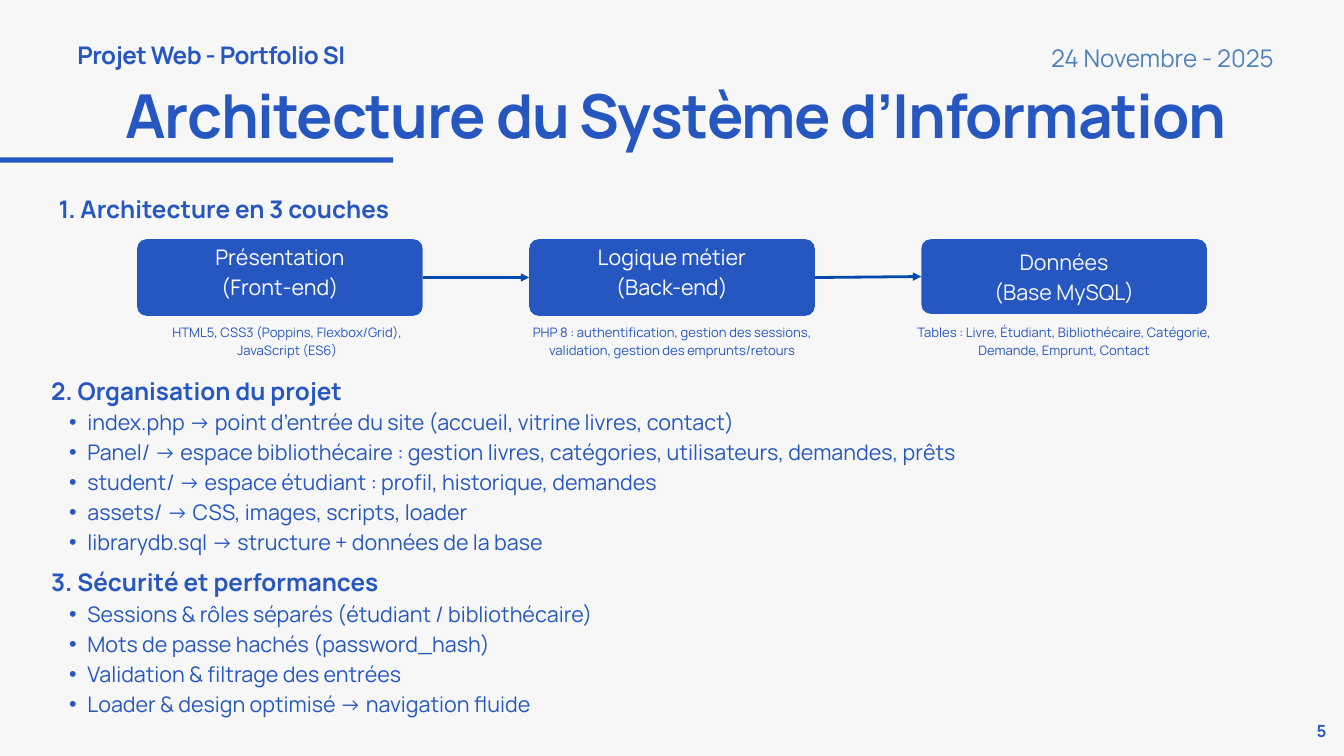
"""Build the slide describing the three-layer architecture of the library web project."""
from dataclasses import dataclass

from lxml.etree import SubElement
from pptx import Presentation
from pptx.dml.color import RGBColor
from pptx.enum.shapes import MSO_CONNECTOR as Connector, MSO_SHAPE as Shape
from pptx.enum.text import MSO_ANCHOR as Anchor, MSO_AUTO_SIZE as AutoSize, PP_ALIGN as Align
from pptx.oxml.ns import qn
from pptx.util import Inches, Pt


@dataclass(frozen=True)
class Theme:
    font: str = "Manrope"
    paper: str = "F7F7F7"
    blue: str = "2657C1"
    arrow: str = "004AAD"
    date: str = "4F81BD"
    white: str = "FFFFFF"
    title: float = 64.9
    heading: float = 26
    body: float = 23
    page: float = 18
    caption: float = 14
    leading: float = 1.4


THEME = Theme()

TITLE = "Architecture du Système d’Information"
PROJECT = "Projet Web - Portfolio SI"
DATE = "24 Novembre - 2025"
PAGE = "5"
LAYERS_HEADING = "1. Architecture en 3 couches"
LAYERS = [
    {"name": ["Présentation", "(Front-end)"], "height": 1.14, "lift": 0.22, "color": THEME.white,
     "caption": ["HTML5, CSS3 (Poppins, Flexbox/Grid),", "JavaScript (ES6)"], "caption_left": 2.04},
    {"name": ["Logique métier", "(Back-end)"], "height": 1.14, "lift": 0.22, "color": THEME.white,
     "caption": ["PHP 8 : authentification, gestion des sessions, validation, gestion des emprunts/retours"],
     "caption_left": 7.77},
    {"name": ["Données", "(Base MySQL)"], "height": 1.11, "lift": 0.04, "color": THEME.paper,
     "caption": ["Tables : Livre, Étudiant, Bibliothécaire, Catégorie, Demande, Emprunt, Contact"],
     "caption_left": 13.6},
]
SECTIONS = [
    ("2. Organisation du projet", (0.76, 5.52, 14.47, 2.69), [
        "index.php → point d’entrée du site (accueil, vitrine livres, contact)",
        "Panel/ → espace bibliothécaire : gestion livres, catégories, utilisateurs, demandes, prêts",
        "student/ → espace étudiant : profil, historique, demandes",
        "assets/ → CSS, images, scripts, loader",
        "librarydb.sql → structure + données de la base",
    ]),
    ("3. Sécurité et performances", (0.76, 8.37, 12.46, 2.25), [
        "Sessions & rôles séparés (étudiant / bibliothécaire)",
        "Mots de passe hachés (password_hash)",
        "Validation & filtrage des entrées",
        "Loader & design optimisé → navigation fluide",
    ]),
]

LAYER_LEFT, LAYER_TOP, LAYER_WIDTH, LAYER_PITCH = 2.04, 3.56, 4.25, 5.835
LAYER_RADIUS = 0.14
CAPTION_TOP, CAPTION_WIDTH, CAPTION_HEIGHT = 4.79, 4.47, 0.55
BULLET_MARGIN, BULLET_HANG = 0.54, 0.27


def rgb(color):
    return RGBColor.from_string(color)


def prepare_frame(shape, anchor=Anchor.TOP, bottom=0):
    frame = shape.text_frame
    frame.word_wrap = True
    frame.auto_size = AutoSize.NONE
    frame.vertical_anchor = anchor
    frame.margin_left = frame.margin_right = frame.margin_top = 0
    frame.margin_bottom = Inches(bottom)
    return frame


def write_lines(frame, lines, size, color=THEME.blue, bold=False, align=Align.CENTER, tracking=0):
    for line in lines:
        paragraph = frame.paragraphs[0] if not frame.text else frame.add_paragraph()
        paragraph.alignment = align
        paragraph.line_spacing = Pt(round(size * THEME.leading, 1))
        paragraph.space_before = Pt(0)
        run = paragraph.add_run()
        run.text = line
        font = run.font
        font.name, font.size, font.bold = THEME.font, Pt(size), bold
        font.color.rgb = rgb(color)
        if tracking:
            run._r.get_or_add_rPr().set("spc", str(round(tracking * 100)))


def add_label(slide, box, lines, size, **style):
    label = slide.shapes.add_textbox(*map(Inches, box))
    write_lines(prepare_frame(label), lines, size, **style)


def place(placeholder, box):
    placeholder.left, placeholder.top, placeholder.width, placeholder.height = map(Inches, box)
    return prepare_frame(placeholder)


def add_block(slide, preset, box):
    block = slide.shapes.add_shape(preset, *map(Inches, box))
    block.shadow.inherit = False
    block.fill.solid()
    block.fill.fore_color.rgb = rgb(THEME.blue)
    block.line.fill.background()
    return block


def add_layer(slide, index, layer):
    height = layer["height"]
    block = add_block(slide, Shape.ROUNDED_RECTANGLE,
                      (LAYER_LEFT + index * LAYER_PITCH, LAYER_TOP, LAYER_WIDTH, height))
    block.adjustments[0] = LAYER_RADIUS / height
    frame = prepare_frame(block, Anchor.MIDDLE, layer["lift"])
    write_lines(frame, layer["name"], THEME.body, color=layer["color"])
    add_label(slide, (layer["caption_left"], CAPTION_TOP, CAPTION_WIDTH, CAPTION_HEIGHT),
              layer["caption"], THEME.caption)
    return block


def join_layers(slide, source, target):
    arrow = slide.shapes.add_connector(Connector.STRAIGHT, 0, 0, 0, 0)
    arrow.begin_connect(source, 3)
    arrow.end_connect(target, 1)
    arrow.line.width = Pt(3)
    arrow.line.color.rgb = rgb(THEME.arrow)
    SubElement(arrow.line._get_or_add_ln(), qn("a:tailEnd"), type="triangle")
    SubElement(arrow._element.spPr, qn("a:effectLst"))


def set_bullet(paragraph, bulleted):
    properties = paragraph._p.get_or_add_pPr()
    properties.set("marL", str(Inches(BULLET_MARGIN) if bulleted else 0))
    properties.set("indent", str(-Inches(BULLET_HANG) if bulleted else 0))
    if bulleted:
        paragraph.level = 1
        SubElement(properties, qn("a:buFont"), typeface="Arial")
        SubElement(properties, qn("a:buChar"), char="•")
    else:
        SubElement(properties, qn("a:buNone"))


def fill_section(placeholder, heading, box, items):
    frame = place(placeholder, box)
    write_lines(frame, [heading], THEME.heading, bold=True, align=Align.LEFT)
    write_lines(frame, items, THEME.body, align=Align.LEFT)
    for index, paragraph in enumerate(frame.paragraphs):
        set_bullet(paragraph, bulleted=index > 0)


def main():
    deck = Presentation()
    deck.slide_width, deck.slide_height = Inches(20), Inches(11.25)
    slide = deck.slides.add_slide(deck.slide_layouts.get_by_name("Two Content"))
    slide.background.fill.solid()
    slide.background.fill.fore_color.rgb = rgb(THEME.paper)

    title, *bodies = slide.placeholders
    write_lines(place(title, (1.15, 0.98, 17.82, 1.28)), [TITLE], THEME.title, bold=True, tracking=-1.3)
    add_block(slide, Shape.RECTANGLE, (0, 2.34, 5.85, 0.08))
    add_label(slide, (1.15, 0.52, 4.94, 0.5), [PROJECT], THEME.heading,
              bold=True, align=Align.JUSTIFY, tracking=-0.5)
    add_label(slide, (15.18, 0.57, 4.24, 0.5), [DATE], THEME.heading, color=THEME.date)
    add_label(slide, (0.76, 2.82, 5.15, 0.5), [LAYERS_HEADING], THEME.heading, bold=True)

    blocks = [add_layer(slide, index, layer) for index, layer in enumerate(LAYERS)]
    for source, target in zip(blocks, blocks[1:]):
        join_layers(slide, source, target)

    for body, (heading, box, items) in zip(bodies, SECTIONS):
        fill_section(body, heading, box, items)
    add_label(slide, (19.5, 10.67, 0.33, 0.4), [PAGE], THEME.page, bold=True, tracking=-0.5)
    deck.save("out.pptx")


if __name__ == "__main__":
    main()
